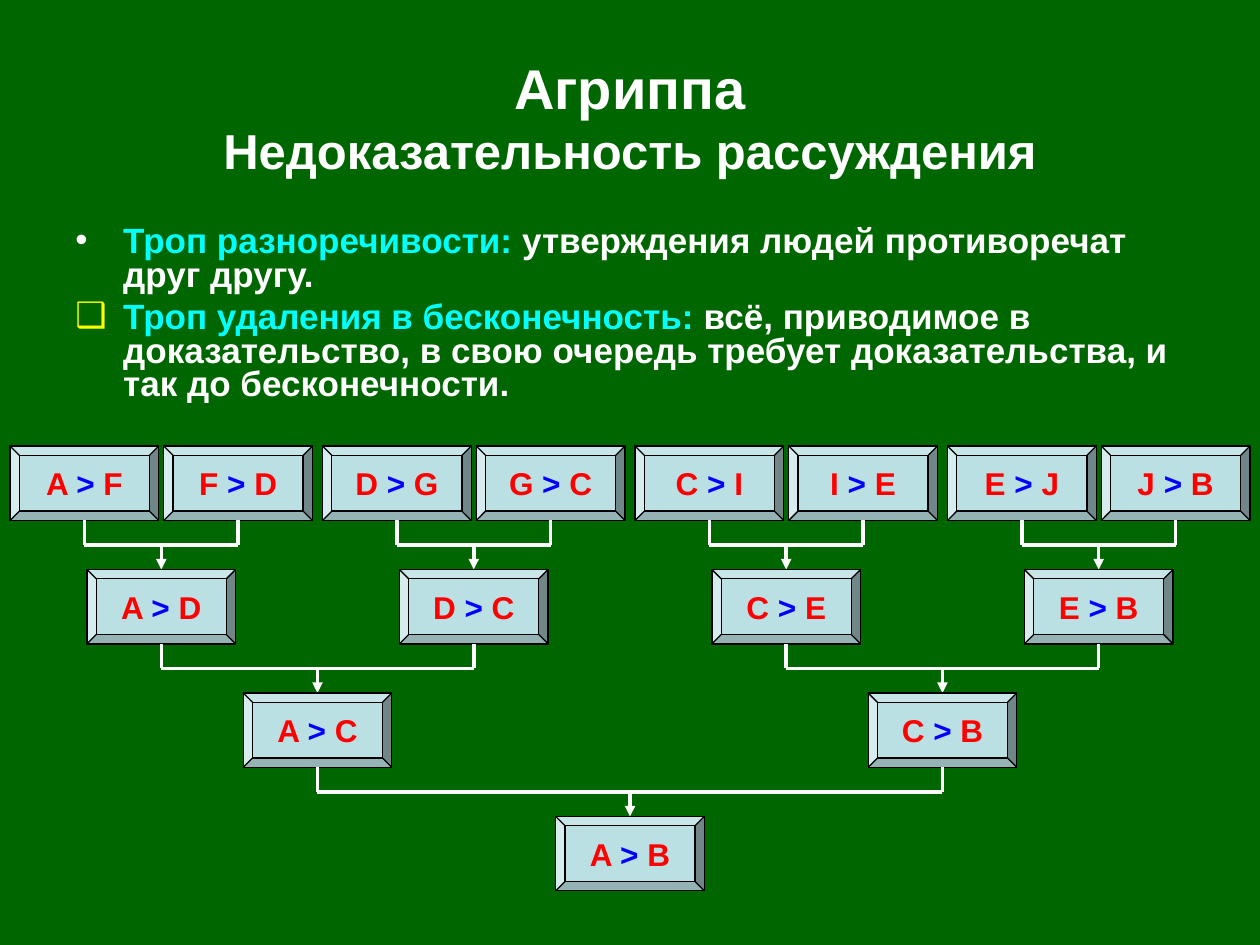
import pptx
import pptx.dml.color
import pptx.enum.shapes
import pptx.enum.text
import pptx.oxml
import pptx.oxml.ns
import pptx.util
from pptx.util import Inches

GREEN, WHITE, BLACK = "006600", "FFFFFF", "000000"
CYAN, YELLOW, RED, BLUE, PALE = "00FFFF", "FFFF00", "FF0000", "0000FF", "BBE0E3"


def color(hex_code):
    return pptx.dml.color.RGBColor.from_string(hex_code)


def add_element(parent, xml):
    declaration = pptx.oxml.ns.nsdecls("a")
    parent.append(pptx.oxml.parse_xml(xml.replace("/>", f" {declaration}/>", 1)
                                      if xml.count("<") == 1 else
                                      xml.replace(">", f" {declaration}>", 1)))


class TropeSlide:
    font = "Arial"
    line_width = 2
    box_width, box_height = 1.18, 0.59

    def __init__(self, presentation):
        self.slide = presentation.slides.add_slide(presentation.slide_layouts[6])
        fill = self.slide.background.fill
        fill.solid()
        fill.fore_color.rgb = color(GREEN)

    def run(self, paragraph, text, size, hex_code):
        run = paragraph.add_run()
        run.text = text
        run.font.name = self.font
        run.font.size = pptx.util.Pt(size)
        run.font.bold = True
        run.font.color.rgb = color(hex_code)

    def text_frame(self, left, top, width, height):
        box = self.slide.shapes.add_textbox(
            Inches(left), Inches(top), Inches(width), Inches(height))
        box.text_frame.word_wrap = True
        return box.text_frame

    def title(self, heading, subheading):
        frame = self.text_frame(0.5, 0.3, 9, 1.25)
        frame.vertical_anchor = pptx.enum.text.MSO_ANCHOR.MIDDLE
        paragraph = frame.paragraphs[0]
        paragraph.alignment = pptx.enum.text.PP_ALIGN.CENTER
        self.run(paragraph, heading, 32, WHITE)
        paragraph.add_line_break()
        self.run(paragraph, subheading, 28, WHITE)

    def bullets(self, tropes):
        frame = self.text_frame(0.5, 1.75, 9, 1.61)
        for index, (mark, mark_color, term, meaning) in enumerate(tropes):
            paragraph = frame.add_paragraph() if index else frame.paragraphs[0]
            paragraph.line_spacing = 0.8
            paragraph.space_before = pptx.util.Pt(5 if index else 0)
            properties = paragraph._p.get_or_add_pPr()
            properties.set("marL", str(Inches(0.38)))
            properties.set("indent", str(-Inches(0.38)))
            add_element(properties, f'<a:buClr><a:srgbClr val="{mark_color}"/></a:buClr>')
            add_element(properties, f'<a:buFont typeface="{self.font}"/>')
            add_element(properties, f'<a:buChar char="{mark}"/>')
            self.run(paragraph, term, 20, CYAN)
            self.run(paragraph, meaning, 20, WHITE)

    def statement(self, center, top, greater, lesser):
        box = self.slide.shapes.add_shape(
            pptx.enum.shapes.MSO_SHAPE.BEVEL,
            Inches(center - self.box_width / 2), Inches(top),
            Inches(self.box_width), Inches(self.box_height))
        box.shadow.inherit = False
        box.adjustments[0] = 0.125
        box.fill.solid()
        box.fill.fore_color.rgb = color(PALE)
        box.line.color.rgb = color(BLACK)
        box.line.width = pptx.util.Pt(0.75)
        frame = box.text_frame
        frame.word_wrap = False
        frame.vertical_anchor = pptx.enum.text.MSO_ANCHOR.MIDDLE
        paragraph = frame.paragraphs[0]
        paragraph.alignment = pptx.enum.text.PP_ALIGN.CENTER
        self.run(paragraph, f"{greater} ", 18, RED)
        self.run(paragraph, "> ", 18, BLUE)
        self.run(paragraph, lesser, 18, RED)

    def line(self, x1, y1, x2, y2, arrow=False):
        line = self.slide.shapes.add_connector(
            pptx.enum.shapes.MSO_CONNECTOR.STRAIGHT,
            Inches(x1), Inches(y1), Inches(x2), Inches(y2))
        line.line.color.rgb = color(WHITE)
        line.line.width = pptx.util.Pt(self.line_width)
        if arrow:
            add_element(line.line._get_or_add_ln(), '<a:tailEnd type="triangle"/>')
        add_element(line._element.spPr, "<a:effectLst/>")

    def inference(self, premises, center, top, next_top):
        """Join two premises and point down at their conclusion."""
        bottom = top + self.box_height
        middle = (bottom + next_top) / 2
        for premise in premises:
            self.line(premise, bottom, premise, middle)
            self.line(premise, middle, center, middle)
        self.line(center, middle, center, next_top, arrow=True)


def main():
    presentation = pptx.Presentation()
    presentation.slide_width, presentation.slide_height = Inches(10), Inches(7.5)
    tropes = TropeSlide(presentation)

    # Heading and the two tropes
    tropes.title("Агриппа", "Недоказательность рассуждения")
    tropes.bullets([
        ("•", WHITE, "Троп разноречивости:",
         " утверждения людей противоречат друг другу."),
        ("❑", YELLOW, "Троп удаления в бесконечность:",
         " всё, приводимое в доказательство, в свою очередь требует "
         "доказательства, и так до бесконечности."),
    ])

    # Top row: a chain of statements in four pairs, as (center, greater, lesser)
    chain = "AFDGCIEJB"
    centers = [1.28 + 2.48 * pair + side for pair in range(4) for side in (-0.61, 0.61)]
    row = list(zip(centers, chain, chain[1:]))
    top, row_pitch = 3.54, 0.98

    # Each pair proves one statement in the row below
    while row:
        for center, greater, lesser in row:
            tropes.statement(center, top, greater, lesser)
        conclusions = []
        for (left, greater, _), (right, _, lesser) in zip(row[::2], row[1::2]):
            center = (left + right) / 2
            tropes.inference((left, right), center, top, top + row_pitch)
            conclusions.append((center, greater, lesser))
        row, top = conclusions, top + row_pitch

    presentation.save("out.pptx")


if __name__ == "__main__":
    main()
